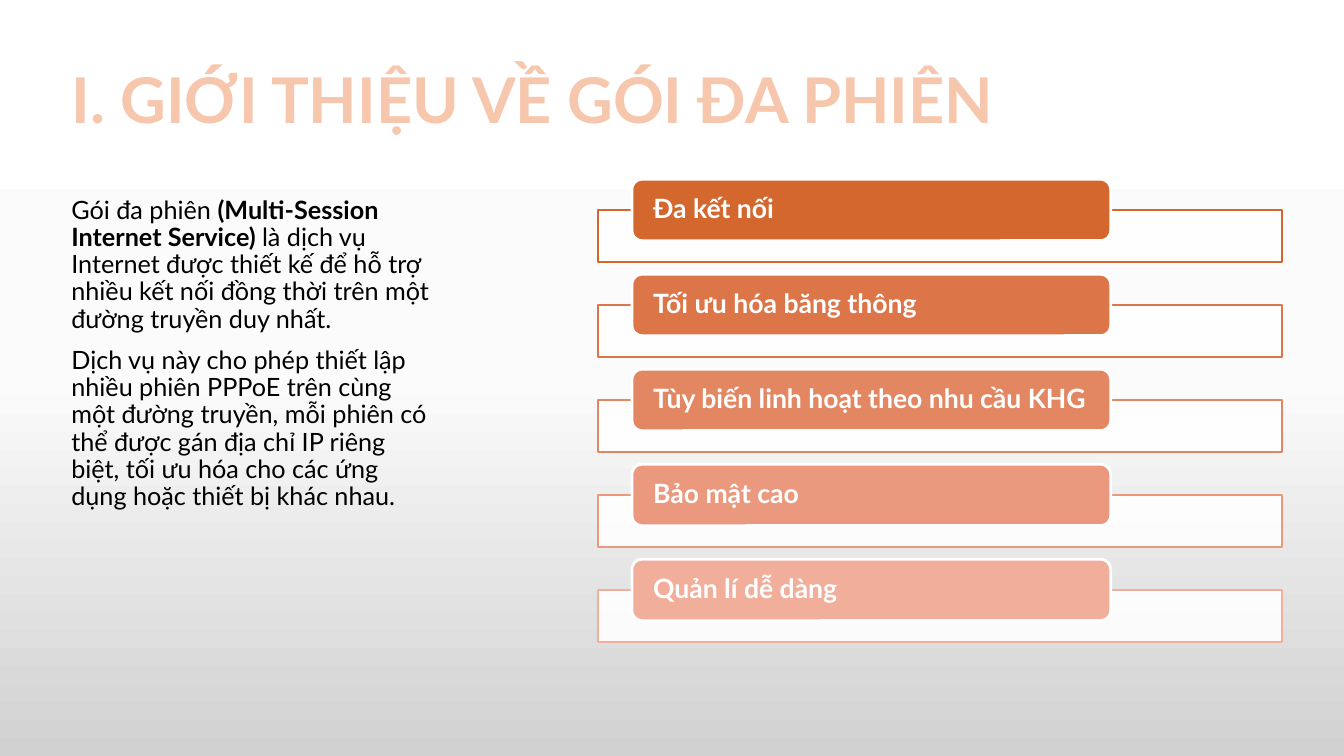
from pptx import Presentation
from pptx.dml.color import RGBColor
from pptx.enum import shapes, text
from pptx.oxml import parse_xml
from pptx.oxml.ns import nsdecls, qn
from pptx.util import Pt
from lxml import etree

# Content
TITLE = "I. GIỚI THIỆU VỀ GÓI ĐA PHIÊN"
INTRO = [
    [("Gói đa phiên ", False),
     ("(Multi-Session Internet Service) ", True),
     ("là dịch vụ Internet được thiết kế để hỗ trợ nhiều kết nối đồng thời "
      "trên một đường truyền duy nhất.", False)],
    [("Dịch vụ này cho phép thiết lập nhiều phiên PPPoE trên cùng một đường truyền, "
      "mỗi phiên có thể được gán địa chỉ IP riêng biệt, tối ưu hóa cho các ứng dụng "
      "hoặc thiết bị khác nhau.", False)],
]
BENEFITS = [
    ("Đa kết nối", "D3672D"),
    ("Tối ưu hóa băng thông", "DC7648"),
    ("Tùy biến linh hoạt theo nhu cầu KHG", "E38763"),
    ("Bảo mật cao", "EA997F"),
    ("Quản lí dễ dàng", "F0AE9B"),
]

# Look and layout, in points
COLORS = {"title": "F6C6AD", "outline": "E97132", "body": "000000", "white": "FFFFFF"}
BACKGROUND = [(0, "FFFFFF"), (50, "FBFBFB"), (100, "D1D1D1")]
TITLE_BOX = (43.9, 44.6, 717, 56.9)
INTRO_BOX = (43.9, 137.5, 271.4, 265)
FRAME_BOX = (427, 149.8, 488.9, 37.4)
LABEL_BOX = (451.4, 128, 342, 43.9)
PITCH = 67.86


def set_values(target, values):
    for name, value in values.items():
        setattr(target, name, value)


def points(box, down=0):
    left, top, width, height = box
    return [Pt(value) for value in (left, top + down, width, height)]


def write(para, content, size, color, bold):
    para.line_spacing = 0.9
    span = para.add_run()
    span.text = content
    set_values(span.font, {"name": "Lato", "size": Pt(size), "bold": bold})
    span.font.color.rgb = RGBColor.from_string(color)
    return span


def add_panel(page, kind, box, down, fill, line, weight):
    shape = page.shapes.add_shape(kind, *points(box, down))
    shape.shadow.inherit = False
    shape.fill.solid()
    shape.fill.fore_color.rgb = RGBColor.from_string(fill)
    shape.line.color.rgb = RGBColor.from_string(line)
    shape.line.width = Pt(weight)
    return shape


deck = Presentation()
set_values(deck, {"slide_width": Pt(960), "slide_height": Pt(540)})
page = deck.slides.add_slide(deck.slide_layouts[5])

# Background gradient
stops = "".join(f'<a:gs pos="{place * 1000}"><a:srgbClr val="{color}"/></a:gs>'
                for place, color in BACKGROUND)
page.element.cSld.insert(0, parse_xml(
    f'<p:bg {nsdecls("p", "a")}><p:bgPr><a:gradFill rotWithShape="1">'
    f'<a:gsLst>{stops}</a:gsLst><a:lin ang="5400000" scaled="0"/></a:gradFill>'
    '<a:effectLst/></p:bgPr></p:bg>'))

# Title
title = page.shapes.title
set_values(title, dict(zip(("left", "top", "width", "height"), points(TITLE_BOX))))
set_values(title.text_frame, {"vertical_anchor": text.MSO_ANCHOR.BOTTOM,
                              "auto_size": text.MSO_AUTO_SIZE.NONE, "word_wrap": True})
heading = title.text_frame.paragraphs[0]
heading.alignment = text.PP_ALIGN.LEFT
span = write(heading, TITLE, 45, COLORS["title"], True)
span.font._element.insert(0, parse_xml(
    f'<a:ln {nsdecls("a")} w="{Pt(1.75)}"><a:solidFill>'
    f'<a:srgbClr val="{COLORS["outline"]}"/></a:solidFill></a:ln>'))

# Introduction
intro = page.shapes.add_textbox(*points(INTRO_BOX)).text_frame
intro.word_wrap = True
for index, parts in enumerate(INTRO):
    para = intro.add_paragraph() if index else intro.paragraphs[0]
    para.space_before = Pt(10)
    for content, bold in parts:
        write(para, content, 18, COLORS["body"], bold)

# Benefits: a pale frame with a rounded label over its top edge
for index, (content, color) in enumerate(BENEFITS):
    down = index * PITCH
    frame = add_panel(page, shapes.MSO_SHAPE.RECTANGLE, FRAME_BOX, down,
                      COLORS["white"], color, 1.5)
    tint = frame.fill._xPr.find(qn("a:solidFill"))[0]
    etree.SubElement(tint, qn("a:alpha"), val="90000")

    label = add_panel(page, shapes.MSO_SHAPE.ROUNDED_RECTANGLE, LABEL_BOX, down,
                      color, COLORS["white"], 2)
    set_values(label.text_frame, {
        "margin_left": Pt(13), "margin_right": Pt(13), "margin_top": 0, "margin_bottom": 0,
        "vertical_anchor": text.MSO_ANCHOR.MIDDLE, "word_wrap": True})
    para = label.text_frame.paragraphs[0]
    para.alignment = text.PP_ALIGN.LEFT
    write(para, content, 19, COLORS["white"], True)

deck.save("out.pptx")
